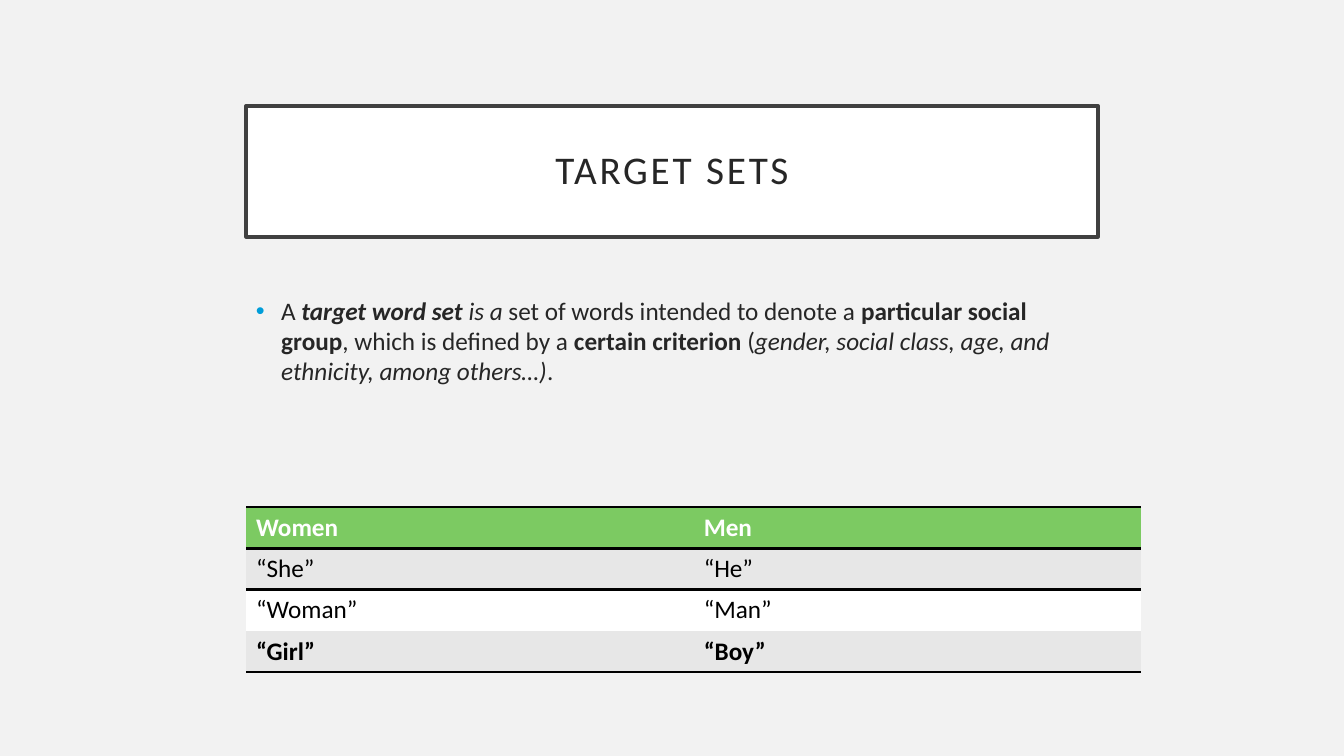
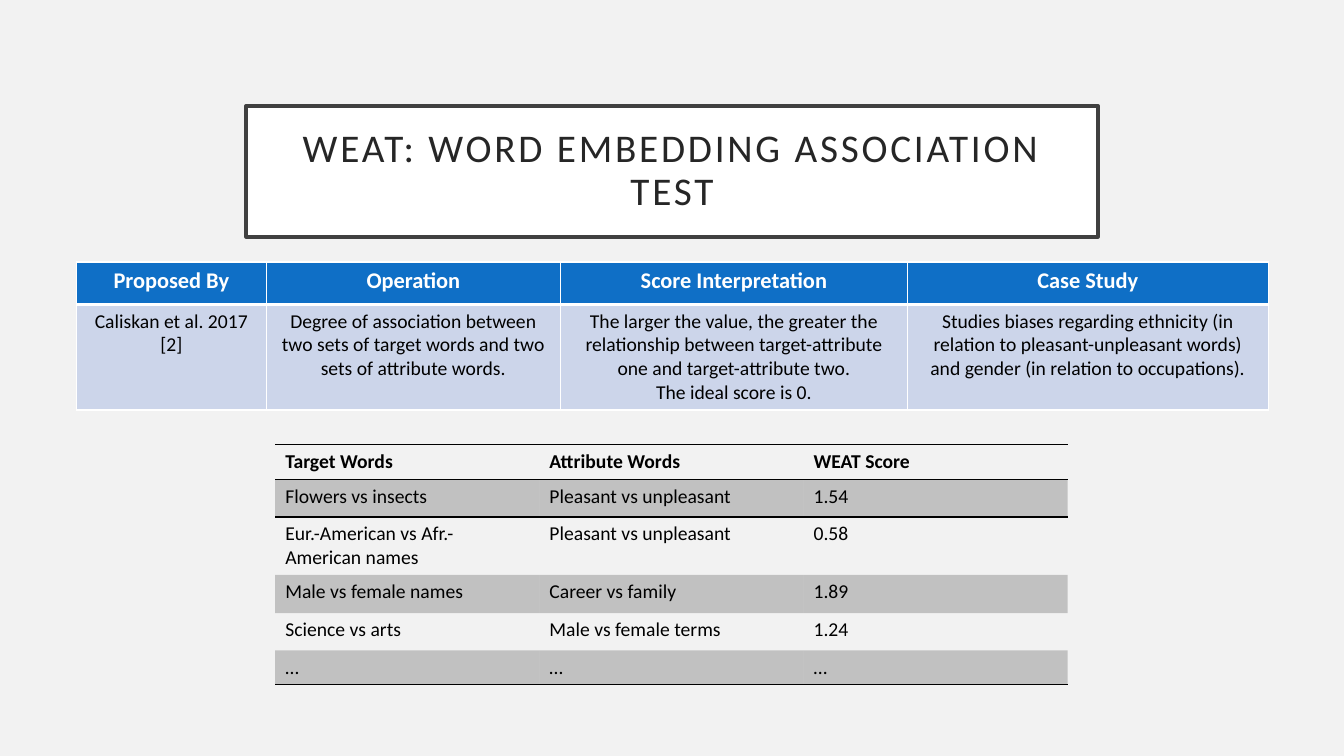
from lxml.etree import SubElement
from pptx import Presentation
from pptx.dml.color import RGBColor
from pptx.enum.text import MSO_ANCHOR, MSO_AUTO_SIZE, PP_ALIGN
from pptx.oxml.ns import qn
from pptx.util import Inches, Pt

# Shared style
FONT = "Calibri"
BACKGROUND = RGBColor(0xF2, 0xF2, 0xF2)
WHITE = RGBColor(0xFF, 0xFF, 0xFF)
BLACK = RGBColor(0x00, 0x00, 0x00)
INK = RGBColor(0x26, 0x26, 0x26)
FRAME = RGBColor(0x40, 0x40, 0x40)
BULLET = RGBColor(0x00, 0x9D, 0xD9)
GREEN = RGBColor(0x7C, 0xCA, 0x62)
GRAY = RGBColor(0xE7, 0xE7, 0xE7)
BLUE = RGBColor(0x0F, 0x6F, 0xC6)
PALE_BLUE = RGBColor(0xCC, 0xD5, 0xEA)
PLAIN_TABLE_STYLE = "{2D5ABB26-0587-4C30-8999-92F81FD0307C}"

# Content: definition runs are (text, bold, italic)
DEFINITION = [
    ("A ", False, False),
    ("target word set ", True, True),
    ("is a ", False, True),
    ("set of words intended to denote a ", False, False),
    ("particular social group", True, False),
    (", which is defined by a ", False, False),
    ("certain criterion", True, False),
    (" (", False, False),
    ("gender, social class, age, and ethnicity, among others…)", False, True),
    (".", False, False),
]
TARGET_SETS = [
    ("Women", "Men"),
    ("“She”", "“He”"),
    ("“Woman”", "“Man”"),
    ("“Girl”", "“Boy”"),
]
WEAT_SUMMARY = [
    ("Proposed By", "Operation", "Score Interpretation", "Case Study"),
    (
        "Caliskan et al. 2017 [2]",
        "Degree of association between two sets of target words and two sets of attribute words.",
        "The larger the value, the greater the relationship between target-attribute one "
        "and target-attribute two.\nThe ideal score is 0.",
        "Studies biases regarding ethnicity (in relation to pleasant-unpleasant words) "
        "and gender (in relation to occupations).",
    ),
]
WEAT_SCORES = [
    ("Target Words", "Attribute Words", "WEAT Score"),
    ("Flowers vs insects", "Pleasant vs unpleasant", "1.54"),
    ("Eur.-American vs Afr.-American names", "Pleasant vs unpleasant", "0.58"),
    ("Male vs female names", "Career vs family", "1.89"),
    ("Science vs arts", "Male vs female terms", "1.24"),
    ("…", "…", "…"),
]


def style_font(font, size, color, bold=False):
    font.name, font.size, font.bold = FONT, Pt(size), bold
    font.color.rgb = color


def add_titled_slide(presentation, text):
    slide = presentation.slides.add_slide(presentation.slide_layouts[5])
    title = slide.shapes.title
    title.left, title.top = Inches(2.44), Inches(1.05)
    title.width, title.height = Inches(8.45), Inches(1.3)
    title.fill.solid()
    title.fill.fore_color.rgb = WHITE
    title.line.color.rgb = FRAME
    title.line.width = Pt(2.5)
    frame = title.text_frame
    frame.text = text
    frame.word_wrap = True
    frame.auto_size = MSO_AUTO_SIZE.NONE
    frame.vertical_anchor = MSO_ANCHOR.MIDDLE
    frame.margin_left = frame.margin_right = Inches(0.2)
    frame.margin_top = frame.margin_bottom = Inches(0.2)
    paragraph = frame.paragraphs[0]
    paragraph.alignment = PP_ALIGN.CENTER
    paragraph.line_spacing = 0.9
    style_font(paragraph.font, 28, INK)
    paragraph.runs[0]._r.get_or_add_rPr().set("spc", "200")
    return slide


def add_definition(slide, runs):
    box = slide.shapes.add_textbox(Inches(2.44), Inches(2.88), Inches(8.45), Inches(1.2))
    box.text_frame.word_wrap = True
    paragraph = box.text_frame.paragraphs[0]
    style_font(paragraph.font, 18, INK)
    for text, bold, italic in runs:
        run = paragraph.add_run()
        run.text = text
        run.font.bold, run.font.italic = bold, italic
    # Hanging bullet, placed ahead of the default run properties
    properties = paragraph._p.get_or_add_pPr()
    properties.set("marL", str(Inches(0.25)))
    properties.set("indent", str(-Inches(0.25)))
    bullet_color = SubElement(properties, qn("a:buClr"))
    SubElement(bullet_color, qn("a:srgbClr"), val=str(BULLET))
    bullet_font = SubElement(properties, qn("a:buFont"), typeface="Arial")
    bullet = SubElement(properties, qn("a:buChar"), char="•")
    for position, element in enumerate((bullet_color, bullet_font, bullet)):
        properties.insert(position, element)


def set_borders(cell, borders, color):
    """Draw the sides given as {"L": points}, in the order L, R, T, B."""
    properties = cell._tc.get_or_add_tcPr()
    for side in "LRTB":
        if side in borders:
            line = SubElement(properties, qn(f"a:ln{side}"), w=str(Pt(borders[side])))
            fill = SubElement(line, qn("a:solidFill"))
            SubElement(fill, qn("a:srgbClr"), val=str(color))


def fill_cell(cell, color, alpha=None):
    if color is None:
        cell.fill.background()
        return
    cell.fill.solid()
    cell.fill.fore_color.rgb = color
    if alpha is not None:
        color_element = cell._tc.tcPr.find(qn("a:solidFill")).find(qn("a:srgbClr"))
        SubElement(color_element, qn("a:alpha"), val=str(alpha * 1000))


def add_styled_table(slide, rows, left, top, widths, heights, header, body_size, bands,
                     borders, border_color=BLACK, alpha=None, centered=False, bold_last=False):
    """header is (fill, text color, size); borders maps a row index to its sides."""
    header_fill, header_color, header_size = header
    table = slide.shapes.add_table(len(rows), len(widths), Inches(left), Inches(top),
                                   Inches(sum(widths)), Inches(sum(heights))).table
    table.first_row = table.horz_banding = False
    table._tbl.tblPr.find(qn("a:tableStyleId")).text = PLAIN_TABLE_STYLE
    for column, width in zip(table.columns, widths):
        column.width = Inches(width)
    for row_index, (values, height) in enumerate(zip(rows, heights)):
        table.rows[row_index].height = Inches(height)
        is_header = row_index == 0
        bold = is_header or (bold_last and row_index == len(rows) - 1)
        for column_index, value in enumerate(values):
            cell = table.cell(row_index, column_index)
            cell.text = value
            set_borders(cell, borders.get(row_index, {}), border_color)
            if is_header:
                fill_cell(cell, header_fill)
            else:
                fill_cell(cell, bands[(row_index - 1) % len(bands)], alpha)
            for paragraph in cell.text_frame.paragraphs:
                if centered:
                    paragraph.alignment = PP_ALIGN.CENTER
                style_font(paragraph.font, header_size if is_header else body_size,
                           header_color if is_header else BLACK, bold)


def main():
    presentation = Presentation()
    presentation.slide_width, presentation.slide_height = Inches(13.33), Inches(7.5)
    background = presentation.slide_master.background.fill
    background.solid()
    background.fore_color.rgb = BACKGROUND

    # Target sets
    slide = add_titled_slide(presentation, "TARGET SETS")
    add_definition(slide, DEFINITION)
    add_styled_table(slide, TARGET_SETS, 2.44, 5.03, [4.44] * 2, [0.41] * 4,
                     header=(GREEN, WHITE, 18), body_size=18, bands=[GRAY, WHITE],
                     borders={0: {"T": 2, "B": 2}, 1: {"T": 2}, 3: {"B": 2}}, bold_last=True)

    # WEAT summary and scores
    slide = add_titled_slide(presentation, "WEAT: WORD EMBEDDING ASSOCIATION TEST")
    add_styled_table(slide, WEAT_SUMMARY, 0.76, 2.6, [1.88, 2.92, 3.44, 3.58], [0.42, 1.03],
                     header=(BLUE, WHITE, 16), body_size=14, bands=[PALE_BLUE],
                     borders={0: {"L": 1, "R": 1, "T": 1, "B": 3},
                              1: {"L": 1, "R": 1, "T": 3, "B": 1}},
                     border_color=WHITE, centered=True)
    add_styled_table(slide, WEAT_SCORES, 2.73, 4.41, [2.62] * 3,
                     [0.35, 0.37, 0.57, 0.38, 0.37, 0.33],
                     header=(None, BLACK, 14), body_size=14, bands=[BLACK, None],
                     borders={0: {"T": 1, "B": 1}, 1: {"T": 1}, 5: {"B": 1}}, alpha=20)

    presentation.save("out.pptx")


if __name__ == "__main__":
    main()
